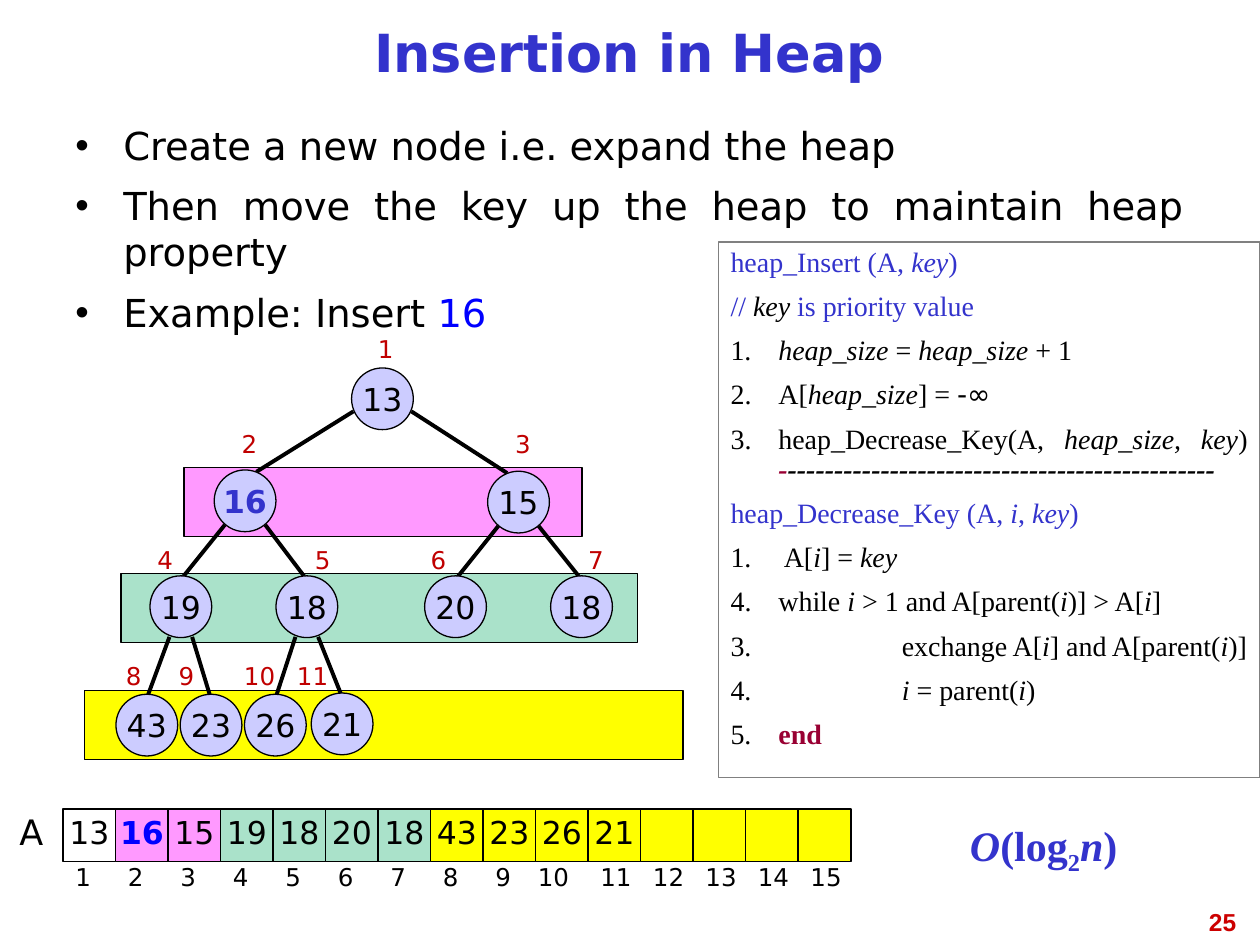
from lxml import etree
from pptx import Presentation
from pptx.dml.color import RGBColor
from pptx.enum import shapes, text
from pptx.oxml.ns import qn
from pptx.util import Inches, Pt

C = {"ink": "000000", "blue": "3333CC", "key": "0000FF", "red": "C00000",
     "page": "CC0000", "wine": "990033", "node": "CCCCFF", "frame": "808080",
     "white": "FFFFFF", "pink": "FF99FF", "green": "AAE2CA", "yellow": "FFFF00"}
SANS, SERIF = "DejaVu Sans", "Times New Roman"
LEVEL_FILLS = ["white", "pink", "green", "yellow"]

# key, circle left, circle top, index label left, index label top
NODES = [
    (13, 2.79, 2.92, 2.85, 2.58),
    (16, 1.7, 3.73, 1.77, 3.33), (15, 3.87, 3.74, 3.94, 3.33),
    (19, 1.19, 4.57, 1.1, 4.25), (18, 2.19, 4.57, 2.35, 4.25),
    (20, 3.37, 4.57, 3.27, 4.25), (18, 4.37, 4.57, 4.52, 4.25),
    (43, 0.92, 5.51, 0.85, 5.17), (23, 1.43, 5.51, 1.27, 5.17),
    (26, 1.94, 5.51, 1.85, 5.17), (21, 2.47, 5.5, 2.27, 5.17),
]
BANDS = [("yellow", 0.67, 5.48, 4.75), ("green", 0.96, 4.55, 4.1),
         ("pink", 1.46, 3.71, 3.16)]
# by level of the child: parent dx, dy and child dx, dy from the centres,
# given for a right child and mirrored for a left one
EDGE_ENDS = {1: (0.23, 0.1, -0.09, -0.23), 2: (0.16, 0.19, -0.02, -0.24),
             3: (0.09, 0.24, -0.01, -0.24)}
NODE, CELL, PITCH, SLOTS, INSERTED = 0.49, 0.42, 5 / 12, 15, 2
INDEX_NUDGE = {10: -0.08}

I = {"italic": True}
BLUE = {"color": "blue"}
BLUE_I = {"color": "blue", "italic": True}
WINE = {"color": "wine", "bold": True}
# hanging indent, automatic number, runs
CODE = [
    (0.38, None, [("heap_Insert (A, ", BLUE), ("key", BLUE_I), (")", BLUE)]),
    (0.38, None, [("// ", BLUE), ("key ", I), ("is priority value", BLUE)]),
    (0.38, None, [("1.\t", {}), ("heap_size", I), (" = ", {}),
                  ("heap_size ", I), ("+ 1", {})]),
    (0.38, 2, [("A[", {}), ("heap_size", I), ("] = ", {}),
               ("-∞", {"name": SANS})]),
    (0.38, 3, [("heap_Decrease_Key(A, ", {}), ("heap_size, key", I), (")", {}),
               (" -", {**WINE, **I}), ("-" * 46, {"bold": True, **I})]),
    (0.38, None, [("heap_Decrease_Key (A, ", BLUE), ("i", BLUE_I),
                  (", ", BLUE), ("key", BLUE_I), (")", BLUE)]),
    (0.38, None, [("1.\t A[", {}), ("i", I), ("] = ", {}), ("key", I)]),
    (0.38, 4, [("while ", {}), ("i ", I), ("> 1 and A[parent(", {}), ("i", I),
               (")] > A[", {}), ("i", I), ("]", {})]),
    (1.36, None, [("3.\texchange A[", {}), ("i", I), ("] and A[parent(", {}),
                  ("i", I), (")]", {})]),
    (1.36, None, [("4.\t", {}), ("i", I), (" = parent(", {}), ("i", I),
                  (")", {})]),
    (0.38, None, [("5.\t", {}), ("end", WINE)]),
]
BULLETS = [
    [("Create a new node i.e. expand the heap", {})],
    [("Then move the key up the heap to maintain heap property", {})],
    [("Example: Insert ", {}), ("16", {"color": "key"})],
]
COST = [("O", I), ("(log", {}), ("2", {"base": "-25000"}), ("n", I), (")", {})]

prs = Presentation()
prs.slide_width, prs.slide_height = Inches(10), Inches(7.5)
s = prs.slides.add_slide(prs.slide_layouts[6])


def add_runs(p, runs, size, **base):
    for words, extra in runs:
        r = p.add_run()
        r.text = words
        fmt = {"name": SANS, "color": "ink", "size": Pt(size), **base, **extra}
        r.font.color.rgb = RGBColor.from_string(C[fmt.pop("color")])
        if "base" in fmt:
            r.font._element.set("baseline", fmt.pop("base"))
        for attr, value in fmt.items():
            setattr(r.font, attr, value)


def write(sp, words, size, align="LEFT", spacing=None, wrap=False,
          anchor="MIDDLE", insets=(0.1, 0.1), **base):
    """Fill a shape with one paragraph, from a string or a list of runs."""
    tf = sp.text_frame
    tf.word_wrap = wrap
    tf.vertical_anchor = getattr(text.MSO_ANCHOR, anchor)
    tf.margin_left, tf.margin_right = map(Inches, insets)
    p = tf.paragraphs[0]
    p.alignment = getattr(text.PP_ALIGN, align)
    if spacing:
        p.line_spacing = spacing
    runs = [(words, {})] if isinstance(words, str) else words
    add_runs(p, runs, size, **base)


def write_list(sp, items, size, spacing, **base):
    """Justified paragraphs with hanging indents; a mark is a bullet or a number."""
    tf = sp.text_frame
    tf.word_wrap = True
    tf.vertical_anchor = text.MSO_ANCHOR.TOP
    for n, (hang, mark, runs) in enumerate(items):
        p = tf.add_paragraph() if n else tf.paragraphs[0]
        p.alignment = text.PP_ALIGN.JUSTIFY
        p.space_before, p.line_spacing = Pt(8), spacing
        pPr = p._p.get_or_add_pPr()
        pPr.set("marL", str(Inches(hang)))
        pPr.set("indent", str(-Inches(hang)))
        if isinstance(mark, int):
            bu = etree.SubElement(pPr, qn("a:buAutoNum"), type="arabicPeriod")
            bu.set("startAt", str(mark))
        elif mark:
            etree.SubElement(pPr, qn("a:buFont"), typeface="Arial")
            etree.SubElement(pPr, qn("a:buChar"), char=mark)
        add_runs(p, runs, size, **base)


def box(x, y, w, h):
    return s.shapes.add_textbox(*map(Inches, (x, y, w, h)))


def shape(kind, x, y, w, h, fill=None, line="ink"):
    sp = s.shapes.add_shape(getattr(shapes.MSO_SHAPE, kind),
                            *map(Inches, (x, y, w, h)))
    sp.shadow.inherit = False
    if fill:
        sp.fill.solid()
        sp.fill.fore_color.rgb = RGBColor.from_string(C[fill])
    else:
        sp.fill.background()
    sp.line.color.rgb = RGBColor.from_string(C[line])
    sp.line.width = Pt(0.75)
    return sp


def edge(x1, y1, x2, y2):
    ln = s.shapes.add_connector(shapes.MSO_CONNECTOR.STRAIGHT,
                                *map(Inches, (x1, y1, x2, y2)))
    ln.line.color.rgb = RGBColor.from_string(C["ink"])
    ln.line.width = Pt(2.25)
    etree.SubElement(ln._element.spPr, qn("a:effectLst"))


def level(i):
    return i.bit_length() - 1


write(box(7.58, 7.15, 2.33, 0.52), "25", 14, "RIGHT", wrap=True, anchor="TOP",
      name="Arial", color="page", bold=True)
write(box(0.5, 0.08, 8.99, 0.75), "Insertion in Heap", 30, "CENTER", 0.81,
      wrap=True, color="blue", bold=True)
write_list(box(0.5, 0.92, 8.99, 1.75),
           [(0.38, "•", runs) for runs in BULLETS], 22, 1.0)

# Tree
for fill, x, y, w in BANDS:
    shape("RECTANGLE", x, y, w, 0.55, fill)
centres = [(x + NODE / 2, y + NODE / 2) for _, x, y, _, _ in NODES]
for i in range(2, len(NODES) + 1):
    (px, py), (cx, cy) = centres[i // 2 - 1], centres[i - 1]
    side = 1 if i % 2 else -1
    pdx, pdy, cdx, cdy = EDGE_ENDS[level(i)]
    edge(px + side * pdx, py + pdy, cx + side * cdx, cy + cdy)
for i, (key, x, y, label_x, label_y) in enumerate(NODES, 1):
    accent = {"color": "blue", "bold": True} if i == INSERTED else {}
    write(shape("OVAL", x, y, NODE, NODE, "node"), str(key), 18, "CENTER",
          **accent)
    write(box(label_x, label_y, CELL, CELL), str(i), 14, "CENTER", 0.81,
          insets=(0, 0), color="red")

# Array
write(box(0, 6.42, 0.5, CELL), "A", 20, "CENTER", 0.81)
for i in range(1, SLOTS + 1):
    x = 0.5 + (i - 1) * PITCH
    cell = shape("RECTANGLE", x, 6.42, CELL, CELL, LEVEL_FILLS[level(i)])
    if i <= len(NODES):
        accent = {"color": "key", "bold": True} if i == INSERTED else {}
        write(cell, str(NODES[i - 1][0]), 18, "CENTER", 0.81, insets=(0, 0),
              **accent)
    write(box(x + INDEX_NUDGE.get(i, 0), 6.77, CELL, CELL), str(i), 14,
          spacing=0.81, insets=(0.1, 0))

# Pseudocode and cost
write_list(shape("RECTANGLE", 5.7, 1.92, 4.3, 4.25, line="frame"), CODE, 16,
           0.9, name=SERIF)
write(box(7.6, 6.49, 1.4, 0.43), COST, 24, spacing=0.81, anchor="TOP",
      name=SERIF, color="blue", bold=True)

prs.save("out.pptx")
